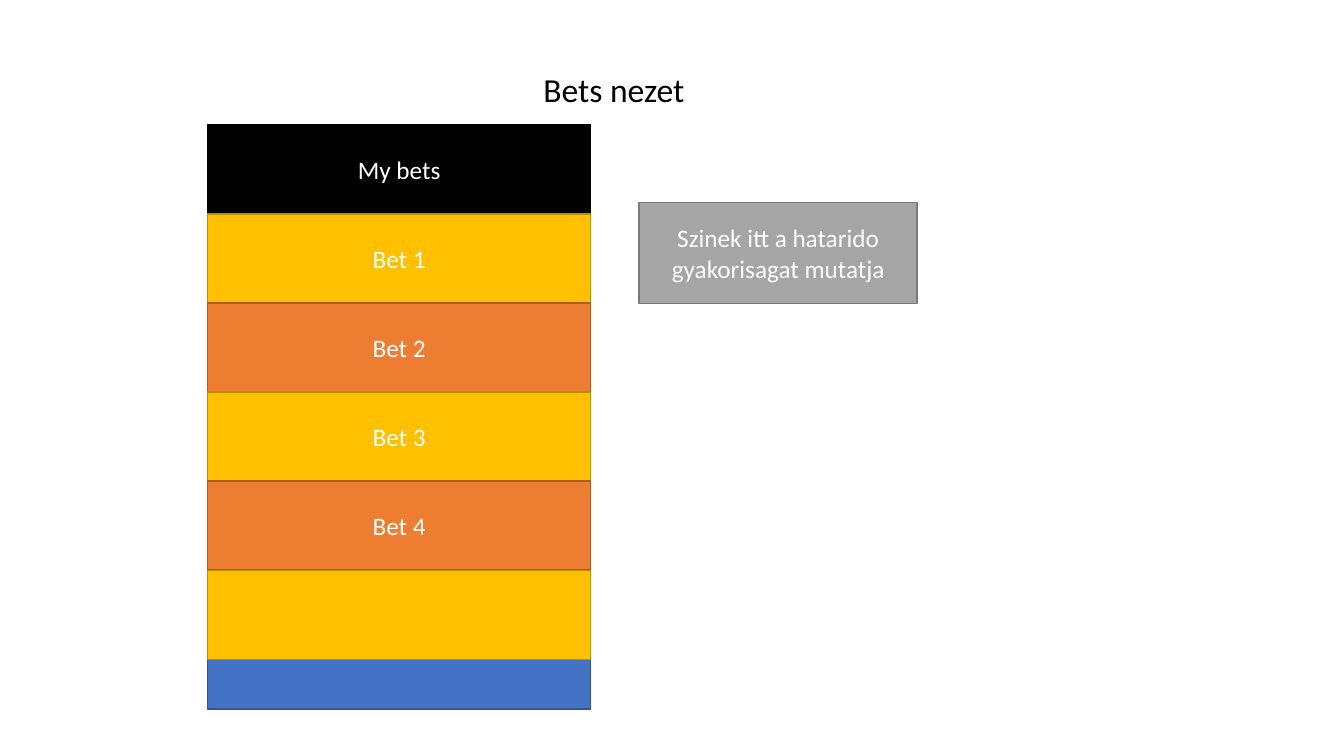
from pptx import Presentation
from pptx.dml.color import RGBColor
from pptx.enum.shapes import MSO_SHAPE as Preset
from pptx.enum.text import MSO_ANCHOR as Anchor, MSO_AUTO_SIZE as AutoSize, PP_ALIGN as Align
from pptx.util import Pt

FONT = "Calibri"
BLACK, WHITE = "000000", "FFFFFF"
# Each style is a fill with its outline colour.
HEADER = (BLACK, BLACK)
BLUE = ("4472C4", "325491")
GOLD = ("FFC000", "BD8E00")
ORANGE = ("ED7D31", "AF5C24")
GREY = ("A5A5A5", "7A7A7A")
BETS = [("Bet 1", GOLD), ("Bet 2", ORANGE), ("Bet 3", GOLD),
        ("Bet 4", ORANGE), ("", GOLD)]


def paint(color_format, hex_color):
    """Set a colour from a hex string."""
    color_format.rgb = RGBColor.from_string(hex_color)


def write(frame, text, size=18, color=WHITE, anchor=Anchor.MIDDLE, spacing=1.0):
    """Put centred, formatted text into a text frame."""
    frame.word_wrap = True
    frame.auto_size = AutoSize.NONE
    frame.vertical_anchor = anchor
    paragraph = frame.paragraphs[0]
    paragraph.alignment = Align.CENTER
    paragraph.line_spacing = spacing
    run = paragraph.add_run()
    run.text = text
    run.font.name = FONT
    run.font.size = Pt(size)
    paint(run.font.color, color)


def add_block(slide, box, style, text=""):
    """Draw an outlined rectangle, with a label if one is given."""
    block = slide.shapes.add_shape(Preset.RECTANGLE, *map(Pt, box))
    block.shadow.inherit = False
    fill, outline = style
    block.fill.solid()
    paint(block.fill.fore_color, fill)
    block.line.width = Pt(1)
    paint(block.line.color, outline)
    if text:
        write(block.text_frame, text)


def add_heading(slide, box, text):
    """Place the slide title in its placeholder."""
    heading = slide.shapes.title
    heading.left, heading.top, heading.width, heading.height = map(Pt, box)
    write(heading.text_frame, text, size=24, color=BLACK, anchor=Anchor.TOP, spacing=0.9)


def add_bets_screen(slide, box, row_height=63.6):
    """Draw the screen with its header and the bets stacked below it."""
    left, top, width, _ = box
    add_block(slide, box, BLUE)
    for index, (label, style) in enumerate([("My bets", HEADER)] + BETS):
        row = (left, top + index * row_height, width, row_height)
        add_block(slide, row, style, label)


def main():
    """Build and save the slide."""
    deck = Presentation()
    deck.slide_width, deck.slide_height = Pt(960), Pt(540)
    slide = deck.slides.add_slide(deck.slide_layouts.get_by_name("Title Only"))
    add_heading(slide, (78.5, 49, 720, 130), "Bets nezet")
    add_bets_screen(slide, (148.3, 89.3, 273.6, 417.2))
    add_block(slide, (456.5, 144.7, 198.7, 72), GREY,
              "Szinek itt a hatarido gyakorisagat mutatja")
    deck.save("out.pptx")


main()
